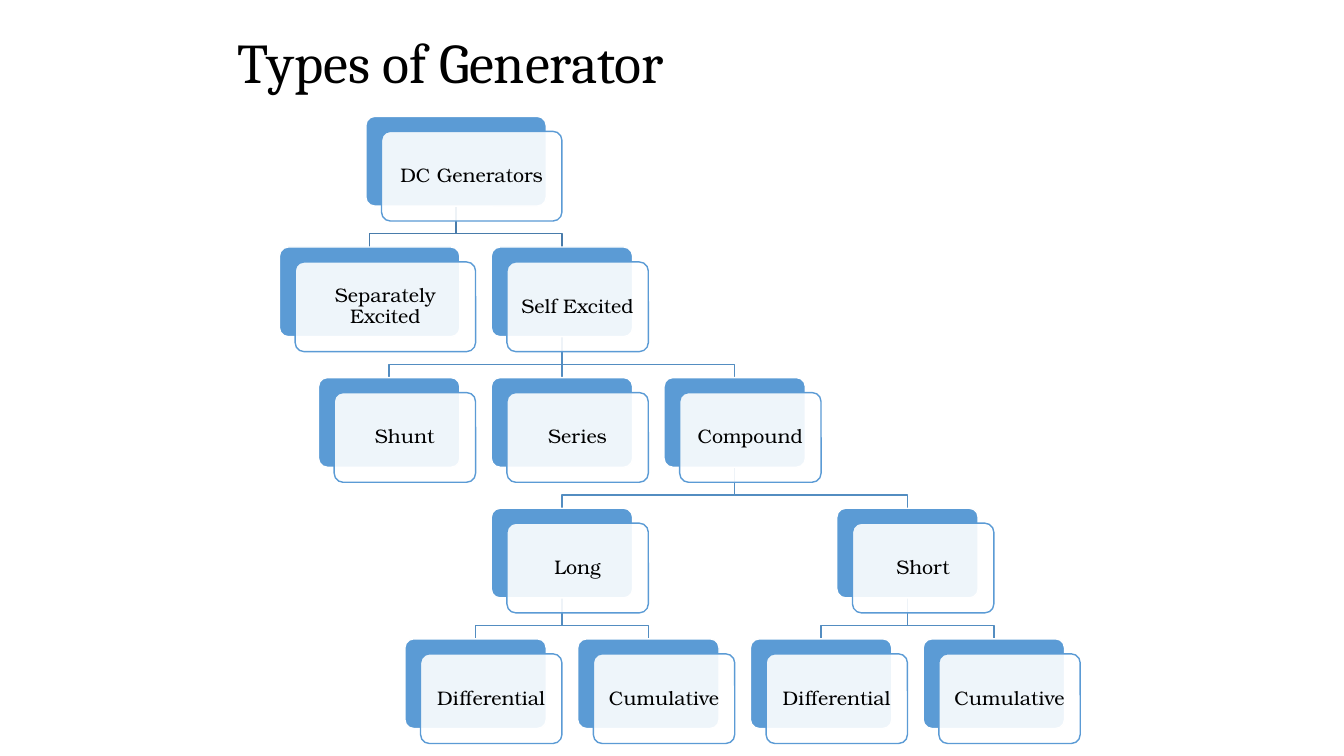
from collections.abc import Iterator
from dataclasses import dataclass

from lxml.etree import SubElement
from pptx import Presentation
from pptx.dml.color import RGBColor
from pptx.enum.shapes import MSO_CONNECTOR, MSO_SHAPE
from pptx.enum.text import MSO_ANCHOR, PP_ALIGN
from pptx.oxml.ns import qn
from pptx.shapes.autoshape import Shape
from pptx.shapes.connector import Connector
from pptx.slide import Slide
from pptx.text.text import TextFrame
from pptx.util import Pt


@dataclass(frozen=True)
class Theme:
    blue: RGBColor = RGBColor(0x5B, 0x9B, 0xD5)
    white: RGBColor = RGBColor(0xFF, 0xFF, 0xFF)
    black: RGBColor = RGBColor(0, 0, 0)
    root_link: RGBColor = RGBColor(0x49, 0x7C, 0xAB)
    link: RGBColor = RGBColor(0x53, 0x8D, 0xC1)
    front_opacity: int = 90
    title_font: str = "Cambria"
    card_font: str = "TeX Gyre Bonum"
    title_size: int = 40
    card_size: int = 14


THEME = Theme()

# Lengths in points
CARD_WIDTH = 101
WIDE_CARD_WIDTH = 128.9
CARD_HEIGHT = 64.1
CARD_GAP = 22.4
HALF_COLUMN = (CARD_WIDTH + CARD_GAP) / 2
AXIS = 401.4
TOP = 83.1
LEVEL_PITCH = 93.3
FRONT_SHIFT_X, FRONT_SHIFT_Y = 11.2, 10.7
CARD_INSET = 4.3
BRANCH_RISE = 9.4
LINE_WIDTH = 1


@dataclass(frozen=True)
class Generator:
    """A generator type; half_columns places a leaf relative to the axis."""
    label: str
    level: int
    half_columns: float = 0
    children: tuple["Generator", ...] = ()
    width: float = CARD_WIDTH

    @property
    def center(self) -> float:
        """A parent stands midway over the outer edges of its children."""
        if not self.children:
            return AXIS + self.half_columns * HALF_COLUMN
        first, last = self.children[0], self.children[-1]
        return (first.left + last.center + last.width / 2) / 2

    @property
    def left(self) -> float:
        return self.center - self.width / 2

    @property
    def top(self) -> float:
        return TOP + self.level * LEVEL_PITCH

    @property
    def bottom(self) -> float:
        return self.top + CARD_HEIGHT


def compound_type(label: str, first_half_column: int) -> Generator:
    return Generator(label, 3, children=(
        Generator("Differential", 4, first_half_column),
        Generator("Cumulative", 4, first_half_column + 2),
    ))


SELF_EXCITED = Generator("Self Excited", 1, children=(
    Generator("Shunt", 2, -2),
    Generator("Series", 2, 0),
    Generator("Compound", 2, children=(
        compound_type("Long", -1), compound_type("Short", 3))),
))
SEPARATELY_EXCITED = Generator(
    "Separately Excited", 1,
    -((WIDE_CARD_WIDTH + CARD_WIDTH) / 2 + CARD_GAP) / HALF_COLUMN,
    width=WIDE_CARD_WIDTH)
DC_GENERATORS = Generator(
    "DC Generators", 0, children=(SEPARATELY_EXCITED, SELF_EXCITED),
    width=WIDE_CARD_WIDTH)


def family(generator: Generator) -> Iterator[Generator]:
    yield generator
    for child in generator.children:
        yield from family(child)


def write(frame: TextFrame, text: str, font: str, size: int,
          alignment: PP_ALIGN) -> None:
    frame.word_wrap = True
    frame.vertical_anchor = MSO_ANCHOR.MIDDLE
    paragraph = frame.paragraphs[0]
    paragraph.text = text
    paragraph.alignment = alignment
    paragraph.line_spacing = 0.9
    paragraph.font.name = font
    paragraph.font.size = Pt(size)
    paragraph.font.color.rgb = THEME.black


def draw_title(slide: Slide) -> None:
    title = slide.shapes.add_textbox(Pt(162.7), Pt(15.1), Pt(648), Pt(62.6))
    write(title.text_frame, "Types of Generator", THEME.title_font,
          THEME.title_size, PP_ALIGN.LEFT)


def draw_straight_link(slide: Slide, parent: Generator, child: Generator,
                       color: RGBColor) -> Connector:
    link = slide.shapes.add_connector(
        MSO_CONNECTOR.STRAIGHT, Pt(parent.center), Pt(parent.bottom),
        Pt(child.center), Pt(child.top))
    link.line.color.rgb = color
    link.line.width = Pt(LINE_WIDTH)
    SubElement(link._element.spPr, qn("a:effectLst"))
    return link


def draw_bent_link(slide: Slide, parent: Generator, child: Generator,
                   color: RGBColor) -> None:
    branch = child.top - BRANCH_RISE
    outline = slide.shapes.build_freeform(
        Pt(parent.center), Pt(parent.bottom))
    outline.add_line_segments(
        [(Pt(parent.center), Pt(branch)), (Pt(child.center), Pt(branch)),
         (Pt(child.center), Pt(child.top))], close=False)
    link = outline.convert_to_shape()
    link.shadow.inherit = False
    link.fill.background()
    link.line.color.rgb = color
    link.line.width = Pt(LINE_WIDTH)


def draw_panel(slide: Slide, generator: Generator, shift_x: float,
               shift_y: float, fill: RGBColor, line: RGBColor) -> Shape:
    panel = slide.shapes.add_shape(
        MSO_SHAPE.ROUNDED_RECTANGLE, Pt(generator.left + shift_x),
        Pt(generator.top + shift_y), Pt(generator.width), Pt(CARD_HEIGHT))
    panel.adjustments[0] = 0.1
    panel.shadow.inherit = False
    panel.fill.solid()
    panel.fill.fore_color.rgb = fill
    panel.line.color.rgb = line
    panel.line.width = Pt(LINE_WIDTH)
    return panel


def draw_card(slide: Slide, generator: Generator) -> Shape:
    """Draw both panels of a card and return the back one, which links join."""
    back = draw_panel(slide, generator, 0, 0, THEME.blue, THEME.white)
    front = draw_panel(slide, generator, FRONT_SHIFT_X, FRONT_SHIFT_Y,
                       THEME.white, THEME.blue)
    fill_color = front._element.spPr.find(qn("a:solidFill"))[0]
    SubElement(fill_color, qn("a:alpha"), val=str(THEME.front_opacity * 1000))
    frame = front.text_frame
    frame.margin_left = frame.margin_right = Pt(CARD_INSET)
    frame.margin_top = frame.margin_bottom = Pt(CARD_INSET)
    write(frame, generator.label, THEME.card_font, THEME.card_size,
          PP_ALIGN.CENTER)
    return back


def draw_tree(slide: Slide, root: Generator) -> None:
    straight_links = []
    for parent in family(root):
        color = THEME.root_link if parent is root else THEME.link
        for child in parent.children:
            if abs(parent.center - child.center) < 0.01:
                link = draw_straight_link(slide, parent, child, color)
                straight_links.append((link, parent, child))
            else:
                draw_bent_link(slide, parent, child, color)
    cards = {generator: draw_card(slide, generator)
             for generator in family(root)}
    for link, parent, child in straight_links:
        link.begin_connect(cards[parent], 2)
        link.end_connect(cards[child], 0)


def main() -> None:
    deck = Presentation()
    deck.slide_width, deck.slide_height = Pt(960), Pt(540)
    slide = deck.slides.add_slide(deck.slide_layouts[6])
    draw_title(slide)
    draw_tree(slide, DC_GENERATORS)
    deck.save("out.pptx")


if __name__ == "__main__":
    main()
